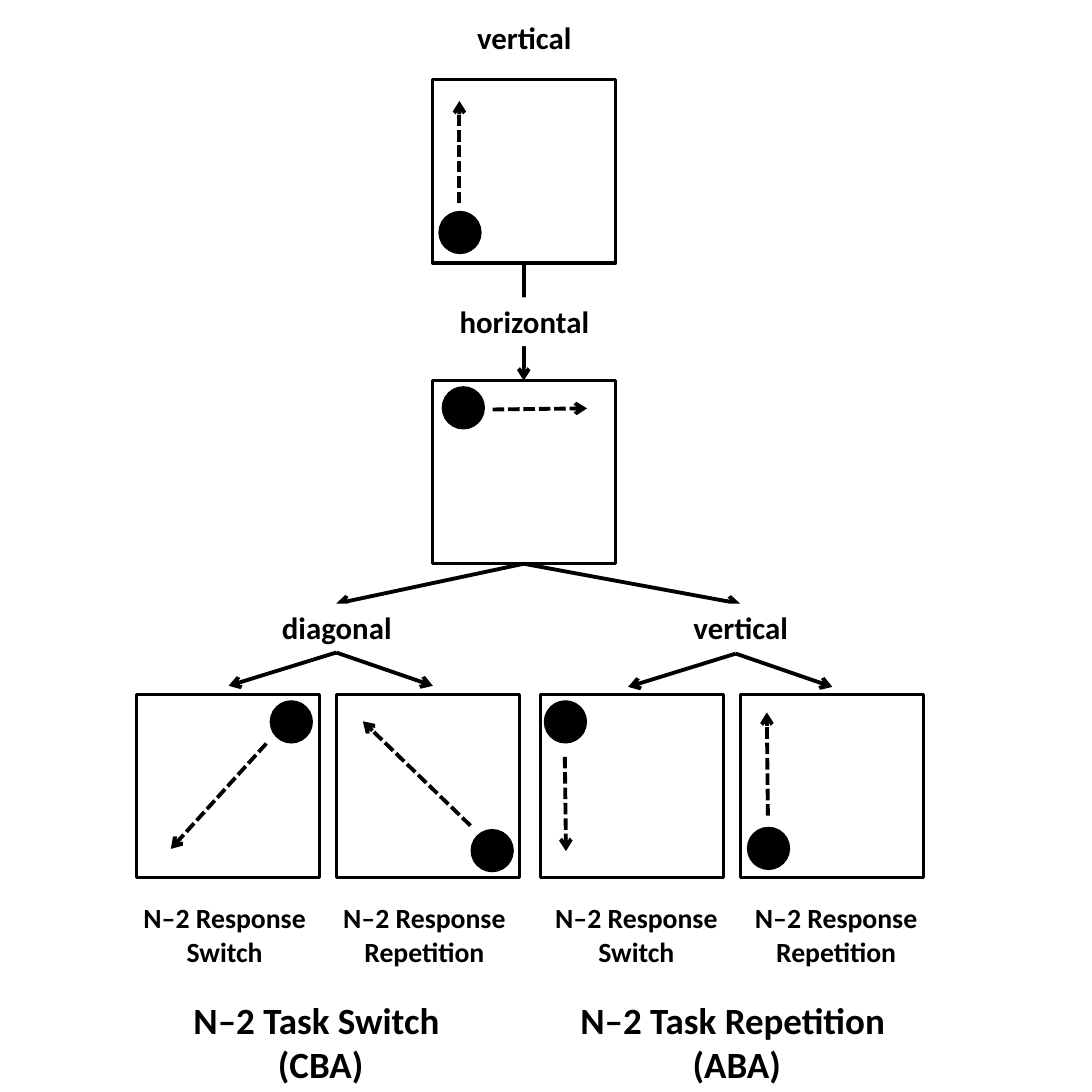
from lxml import etree
from pptx import Presentation
from pptx.dml.color import RGBColor
from pptx.enum.dml import MSO_LINE
from pptx.enum.shapes import MSO_CONNECTOR, MSO_SHAPE
from pptx.enum.text import PP_ALIGN
from pptx.oxml.ns import qn
from pptx.util import Inches, Pt

COLORS = {"ink": "000000", "paper": "FFFFFF"}
FRAME_SIZE = 1.65
DOT_SIZE = 0.39
LABEL_SIZE = (1.45, 0.44)
CAPTION_SIZE = (1.73, 0.71)
FRAME_STEP = 1.8


def color(name):
    return RGBColor.from_string(COLORS[name])


def add_text(slide, text, left, top, width, height, size=20):
    """Add a white box of bold centred text, one paragraph per line."""
    box = slide.shapes.add_textbox(Inches(left), Inches(top), Inches(width), Inches(height))
    box.fill.solid()
    box.fill.fore_color.rgb = color("paper")
    frame = box.text_frame
    frame.word_wrap = True
    frame.text = text
    for para in frame.paragraphs:
        para.alignment = PP_ALIGN.CENTER
        for span in para.runs:
            span.font.name = "Calibri"
            span.font.size = Pt(size)
            span.font.bold = True
            span.font.color.rgb = color("ink")


def add_arrow(slide, start, end, dashed=False):
    points = [Inches(value) for value in (*start, *end)]
    arrow = slide.shapes.add_connector(MSO_CONNECTOR.STRAIGHT, *points)
    arrow.line.color.rgb = color("ink")
    arrow.line.width = Pt(2.5)
    if dashed:
        arrow.line.dash_style = MSO_LINE.SQUARE_DOT
    outline = arrow.line._get_or_add_ln()
    etree.SubElement(outline, qn("a:tailEnd"), type="arrow")
    etree.SubElement(arrow._element.spPr, qn("a:effectLst"))


def add_stimulus(slide, left, top, dot, start, end):
    """Draw a square with a dot and a dashed arrow, all placed from its corner."""
    def offset(point):
        return left + point[0], top + point[1]

    square = slide.shapes.add_shape(
        MSO_SHAPE.RECTANGLE, Inches(left), Inches(top), Inches(FRAME_SIZE), Inches(FRAME_SIZE))
    square.shadow.inherit = False
    square.fill.background()
    square.line.color.rgb = color("ink")
    square.line.width = Pt(2)

    dot_left, dot_top = offset(dot)
    circle = slide.shapes.add_shape(
        MSO_SHAPE.OVAL, Inches(dot_left), Inches(dot_top), Inches(DOT_SIZE), Inches(DOT_SIZE))
    circle.shadow.inherit = False
    circle.fill.solid()
    circle.fill.fore_color.rgb = color("ink")
    circle.line.fill.background()
    add_arrow(slide, offset(start), offset(end), dashed=True)


def add_first_trials(slide, left, top):
    """Draw the two stacked trials that every sequence shares."""
    second_top = top + 2.71
    middle = left + 0.82
    add_text(slide, "vertical", left + 0.1, top - 0.6, *LABEL_SIZE)
    add_stimulus(slide, left, top, dot=(0.05, 1.18), start=(0.24, 1.11), end=(0.24, 0.19))
    add_arrow(slide, (middle, top + FRAME_SIZE), (middle, second_top))
    add_text(slide, "horizontal", left + 0.1, top + 1.96, *LABEL_SIZE)
    add_stimulus(slide, left, second_top, dot=(0.08, 0.05), start=(0.54, 0.26), end=(1.39, 0.25))


def add_outcome(slide, left, top, task, fork, stimuli, caption_shift, title, title_box):
    """Draw one branch: task label, fork, two captioned trials and a title."""
    add_text(slide, task, left + 1.08, top - 0.82, *LABEL_SIZE)
    for reach in (-0.97, 0.87):
        add_arrow(slide, fork, (fork[0] + reach, fork[1] + 0.3))
    for index, (response, stimulus) in enumerate(zip(("Switch", "Repetition"), stimuli)):
        frame_left = left + index * FRAME_STEP
        add_stimulus(slide, frame_left, top, *stimulus)
        add_text(slide, f"N–2 Response {response}", frame_left + caption_shift, top + 1.81,
                 *CAPTION_SIZE, size=18)
    title_left, title_width = title_box
    add_text(slide, title, title_left, top + 2.68, title_width, 0.91, size=24)


def main():
    deck = Presentation()
    deck.slide_width = deck.slide_height = Inches(9.84)
    page = deck.slides.add_slide(deck.slide_layouts[6])

    add_first_trials(page, 3.9, 0.72)
    for label_point in ((3.03, 5.44), (6.67, 5.44)):
        add_arrow(page, (4.72, 5.08), label_point)
    add_outcome(
        page, 1.23, 6.26, "diagonal", fork=(3.03, 5.88),
        stimuli=[((1.2, 0.05), (1.17, 0.44), (0.31, 1.39)),
                 ((1.21, 1.21), (1.21, 1.18), (0.24, 0.24))],
        caption_shift=-0.07, title="N–2 Task Switch \n(CBA)", title_box=(1.16, 3.46))
    add_outcome(
        page, 4.87, 6.26, "vertical", fork=(6.63, 5.89),
        stimuli=[((0.03, 0.05), (0.22, 0.56), (0.23, 1.41)),
                 ((0.06, 1.19), (0.25, 1.09), (0.24, 0.16))],
        caption_shift=0, title="N–2 Task Repetition \n(ABA)", title_box=(4.71, 3.86))
    deck.save("out.pptx")


if __name__ == "__main__":
    main()
